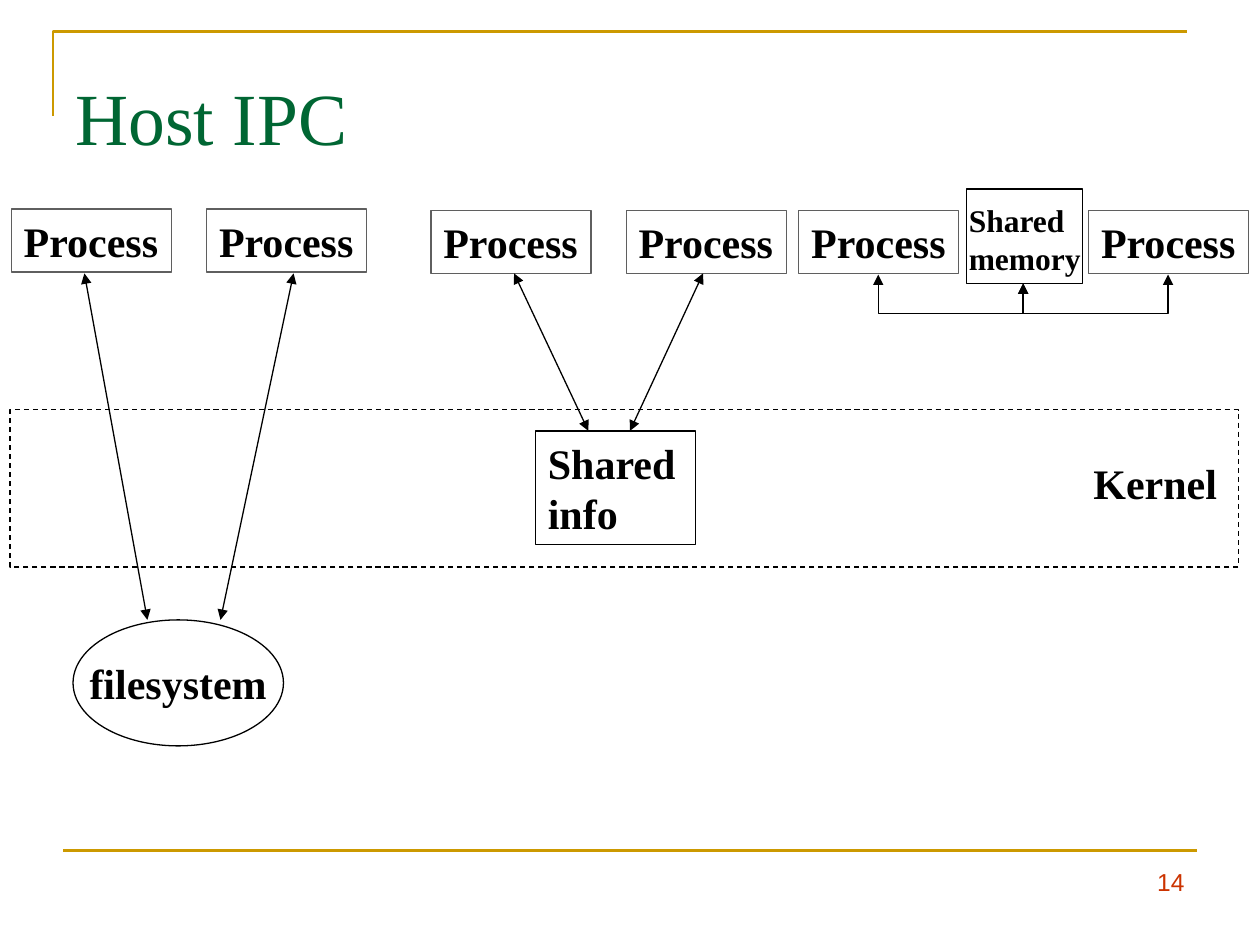
from pptx import Presentation
from pptx.dml.color import RGBColor
from pptx.enum.dml import MSO_LINE
from pptx.enum.shapes import MSO_CONNECTOR, MSO_SHAPE
from pptx.enum.text import MSO_ANCHOR, MSO_AUTO_SIZE, PP_ALIGN
from pptx.oxml.ns import qn
from pptx.util import Inches, Pt
from lxml import etree

RECT, OVAL = MSO_SHAPE.RECTANGLE, MSO_SHAPE.OVAL
STRAIGHT, ELBOW = MSO_CONNECTOR.STRAIGHT, MSO_CONNECTOR.ELBOW
LEFT, CENTER, RIGHT = PP_ALIGN.LEFT, PP_ALIGN.CENTER, PP_ALIGN.RIGHT
TOP, MIDDLE = MSO_ANCHOR.TOP, MSO_ANCHOR.MIDDLE
DASH = MSO_LINE.DASH
SERIF, SANS = "Times New Roman", "Arial"
BLACK, GRAY, GOLD, GREEN, RED = "000000", "5F5F5F", "CC9900", "006633", "CC3300"
THIN, RULE = 0.74, 1.5


def color(hex_code):
    """Turn a hex string into a colour."""
    return RGBColor.from_string(hex_code)


def set_line(shape, hex_code, width):
    """Set the colour and width of a line."""
    shape.line.color.rgb = color(hex_code)
    shape.line.width = Pt(width)


def write(shape, lines, size=24, font=SERIF, hex_code=BLACK, bold=True,
          align=LEFT, anchor=TOP, wrap=False):
    """Write one paragraph per line of text."""
    frame = shape.text_frame
    frame.word_wrap = wrap
    frame.auto_size = MSO_AUTO_SIZE.NONE
    frame.vertical_anchor = anchor
    for index, line in enumerate(lines):
        para = frame.add_paragraph() if index else frame.paragraphs[0]
        para.alignment = align
        span = para.add_run()
        span.text = line
        span.font.name = font
        span.font.size = Pt(size)
        span.font.bold = bold
        span.font.color.rgb = color(hex_code)


def add_box(slide, place, kind=RECT, hex_code=BLACK):
    """Add an unfilled outlined shape."""
    box = slide.shapes.add_shape(kind, *map(Inches, place))
    box.shadow.inherit = False
    box.fill.background()
    set_line(box, hex_code, THIN)
    return box


def add_label(slide, place, lines, **style):
    """Add a text box."""
    label = slide.shapes.add_textbox(*map(Inches, place))
    write(label, lines, **style)


def add_line(slide, start, end, hex_code=BLACK, width=THIN, arrows=True, kind=STRAIGHT):
    """Add a connector, with arrowheads at both ends if wanted."""
    link = slide.shapes.add_connector(kind, *map(Inches, (*start, *end)))
    set_line(link, hex_code, width)
    if arrows:
        outline = link.line._get_or_add_ln()
        for end_tag in ("a:headEnd", "a:tailEnd"):
            etree.SubElement(outline, qn(end_tag)).set("type", "triangle")
    etree.SubElement(link._element.spPr, qn("a:effectLst"))
    return link


def add_bent_link(slide, place, turn, flips):
    """Add an elbow arrow that dips below both of its ends."""
    left, top, width, height = place
    link = add_line(slide, (left, top), (left + width, top + height), kind=ELBOW)
    properties = link._element.spPr
    frame = properties.find(qn("a:xfrm"))
    frame.set("rot", str(turn * 60000))
    for flip in flips:
        frame.set(flip, "1")
    geometry = properties.find(qn("a:prstGeom"))
    adjustments = geometry.find(qn("a:avLst"))
    if adjustments is None:
        adjustments = etree.SubElement(geometry, qn("a:avLst"))
    guide = etree.SubElement(adjustments, qn("a:gd"))
    guide.set("name", "adj1")
    guide.set("fmla", "val -342500")


def add_frame(slide):
    """Add the gold rules and the slide number."""
    builder = slide.shapes.build_freeform(Inches(0.42), Inches(0.92), scale=1.0)
    corner = [(Inches(0.42), Inches(0.25)), (Inches(9.42), Inches(0.25))]
    builder.add_line_segments(corner, close=False)
    rule = builder.convert_to_shape()
    rule.shadow.inherit = False
    rule.fill.background()
    set_line(rule, GOLD, RULE)
    add_line(slide, (0.5, 6.75), (9.5, 6.75), GOLD, RULE, arrows=False)
    add_label(slide, (7.17, 6.83, 2.33, 0.52), ["14"], size=14, font=SANS,
              hex_code=RED, bold=False, align=RIGHT, wrap=True)


def add_title(slide, text):
    """Place and format the title."""
    title = slide.shapes.title
    title.left, title.top, title.width, title.height = map(Inches, (0.5, 0.3, 9, 1.25))
    write(title, [text], size=42, hex_code=GREEN, bold=False, anchor=MIDDLE, wrap=True)


def add_diagram(slide):
    """Add the processes, what they share and the links between them."""
    processes = [(1.64, 1.66), (0.09, 1.66), (4.97, 1.67),
                 (3.42, 1.67), (8.64, 1.67), (6.34, 1.67)]
    for left, top in processes:
        write(add_box(slide, (left, top, 1.27, 0.5), hex_code=GRAY), ["Process"])

    add_box(slide, (7.67, 1.5, 0.92, 0.75))
    kernel = add_box(slide, (0.08, 3.25, 9.75, 1.25))
    kernel.line.dash_style = DASH
    write(add_box(slide, (4.25, 3.42, 1.27, 0.9)), ["Shared info"], wrap=True)
    filesystem = add_box(slide, (0.58, 4.92, 1.67, 1), OVAL)
    write(filesystem, ["filesystem"], align=CENTER, anchor=MIDDLE)

    links = [(0.67, 1.17, 4.92), (2.33, 1.75, 4.92), (4.08, 4.67, 3.42), (5.58, 5, 3.42)]
    for upper, lower, bottom in links:
        add_line(slide, (upper, 2.17), (lower, bottom))
    add_bent_link(slide, (7.51, 1.64, 0.07, 1.15), 270, ["flipV"])
    add_bent_link(slide, (8.66, 1.64, 0.07, 1.15), 90, ["flipH", "flipV"])

    add_label(slide, (7.59, 1.55, 1.09, 0.7), ["Shared", "memory"], size=18)
    add_label(slide, (8.58, 3.58, 1.26, 0.5), ["Kernel "])


def main():
    """Build and save the slide."""
    deck = Presentation()
    deck.slide_width, deck.slide_height = Inches(10), Inches(7.5)
    slide = deck.slides.add_slide(deck.slide_layouts[5])
    add_frame(slide)
    add_title(slide, "Host IPC")
    add_diagram(slide)
    deck.save("out.pptx")


main()
